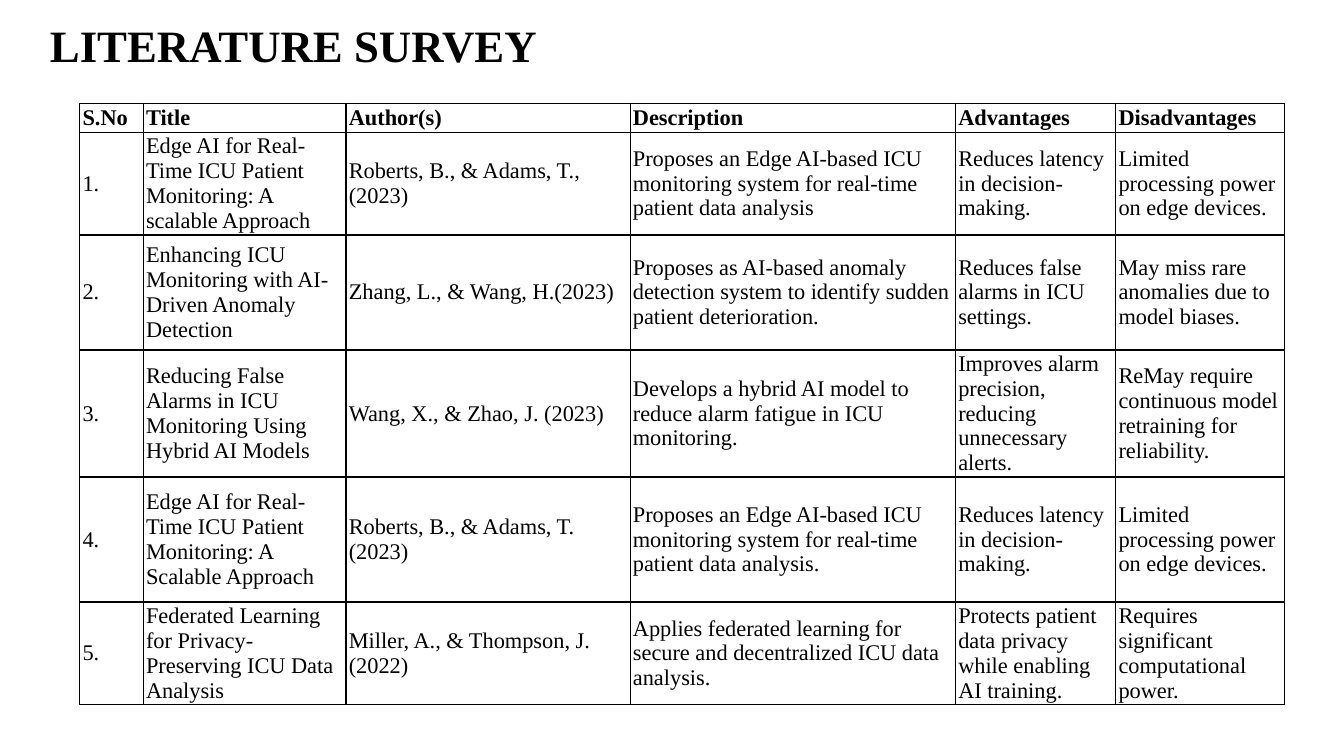
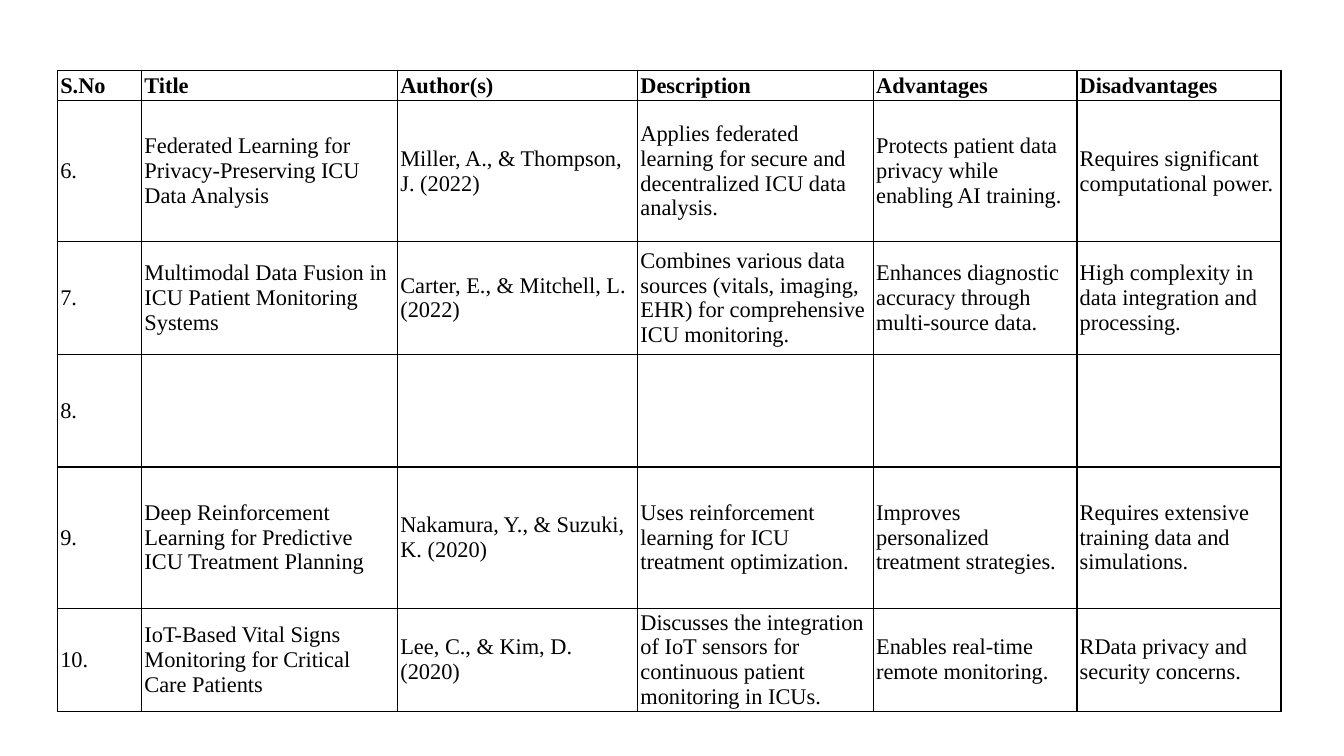
from copy import deepcopy

from lxml import etree
from pptx import Presentation
from pptx.dml.color import RGBColor
from pptx.enum.text import MSO_ANCHOR, PP_ALIGN
from pptx.oxml.ns import qn
from pptx.util import Cm, Pt

MIDDLE = MSO_ANCHOR.MIDDLE
LEFT = PP_ALIGN.LEFT
BLANK_LAYOUT = 6
FONT = "Times New Roman"
COLORS = {"ink": "000000", "paper": "FFFFFF"}
BORDER_WIDTH = Pt(1)
CELL_INSET_X = Cm(0.07)
CELL_INSET_Y = Cm(0.02)
CELL_LINE_SPACING = Pt(17.7)

HEADINGS = ("S.No", "Title", "Author(s)", "Description", "Advantages", "Disadvantages")

SURVEY_FIRST = [
    ("1.", "Edge AI for Real-Time ICU Patient Monitoring: A scalable Approach",
     "Roberts, B., & Adams, T., (2023)",
     "Proposes an Edge AI-based ICU monitoring system for real-time patient data analysis",
     "Reduces latency in decision-making.",
     "Limited processing power on edge devices."),
    ("2.", "Enhancing ICU Monitoring with AI-Driven Anomaly Detection",
     "Zhang, L., & Wang, H.(2023)",
     "Proposes as AI-based anomaly detection system to identify sudden patient deterioration.",
     "Reduces false alarms in ICU settings.",
     "May miss rare anomalies due to model biases."),
    ("3.", "Reducing False Alarms in ICU Monitoring Using Hybrid AI Models",
     "Wang, X., & Zhao, J. (2023)",
     "Develops a hybrid AI model to reduce alarm fatigue in ICU monitoring.",
     "Improves alarm precision, reducing unnecessary alerts.",
     "ReMay require continuous model retraining for reliability."),
    ("4.", "Edge AI for Real-Time ICU Patient Monitoring: A Scalable Approach",
     "Roberts, B., & Adams, T. (2023)",
     "Proposes an Edge AI-based ICU monitoring system for real-time patient data analysis.",
     "Reduces latency in decision-making.",
     "Limited processing power on edge devices."),
    ("5.", "Federated Learning for Privacy-Preserving ICU Data Analysis",
     "Miller, A., & Thompson, J. (2022)",
     "Applies federated learning for secure and decentralized ICU data analysis.",
     "Protects patient data privacy while enabling AI training.",
     "Requires significant computational power."),
]

SURVEY_SECOND = [
    ("6.",) + SURVEY_FIRST[-1][1:],
    ("7.", "Multimodal Data Fusion in ICU Patient Monitoring Systems",
     "Carter, E., & Mitchell, L. (2022)",
     "Combines various data sources (vitals, imaging, EHR) for comprehensive ICU monitoring.",
     "Enhances diagnostic accuracy through multi-source data.",
     "High complexity in data integration and processing."),
    ("8.", "", "", "", "", ""),
    ("9.", "Deep Reinforcement Learning for Predictive ICU Treatment Planning",
     "Nakamura, Y., & Suzuki, K. (2020)",
     "Uses reinforcement learning for ICU treatment optimization.",
     "Improves personalized treatment strategies.",
     "Requires extensive training data and simulations."),
    ("10.", "IoT-Based Vital Signs Monitoring for Critical Care Patients",
     "Lee, C., & Kim, D. (2020)",
     "Discusses the integration of IoT sensors for continuous patient monitoring in ICUs.",
     "Enables real-time remote monitoring.",
     "RData privacy and security concerns."),
]


def write_text(frame, text, size=16, bold=False, color="ink", line_spacing=CELL_LINE_SPACING):
    paragraph = frame.paragraphs[0]
    paragraph.alignment = LEFT
    paragraph.line_spacing = line_spacing
    if not text:
        return
    run = paragraph.add_run()
    run.text = text
    run.font.name = FONT
    run.font.size = Pt(size)
    run.font.bold = bold
    run.font.color.rgb = RGBColor.from_string(COLORS[color])
    ending = etree.SubElement(paragraph._p, qn("a:endParaRPr"), sz=str(size * 100))
    for part in run.font._element:
        ending.append(deepcopy(part))


def add_borders(cell):
    properties = cell._tc.get_or_add_tcPr()
    for position, side in enumerate(("a:lnL", "a:lnR", "a:lnT", "a:lnB")):
        line = etree.Element(qn(side), w=str(BORDER_WIDTH))
        fill = etree.SubElement(line, qn("a:solidFill"))
        etree.SubElement(fill, qn("a:srgbClr"), val=COLORS["ink"])
        properties.insert(position, line)


def fill_cell(cell, text, bold):
    cell.vertical_anchor = MIDDLE
    cell.margin_left = cell.margin_right = CELL_INSET_X
    cell.margin_top = cell.margin_bottom = CELL_INSET_Y
    cell.fill.solid()
    cell.fill.fore_color.rgb = RGBColor.from_string(COLORS["paper"])
    add_borders(cell)
    write_text(cell.text_frame, text, bold=bold)


def add_title(slide, text, left, top, width, height):
    title = slide.shapes.add_textbox(Cm(left), Cm(top), Cm(width), Cm(height))
    title.text_frame.word_wrap = False
    title.text_frame.vertical_anchor = MIDDLE
    write_text(title.text_frame, text, size=32, bold=True, line_spacing=0.9)


def add_survey(slide, entries, left, top, widths, heights):
    rows = [HEADINGS, *entries]
    survey = slide.shapes.add_table(
        len(rows), len(HEADINGS), Cm(left), Cm(top), Cm(sum(widths)), Cm(sum(heights))
    ).table
    survey.first_row = False
    survey.horz_banding = False
    for column, width in zip(survey.columns, widths):
        column.width = Cm(width)
    for row_index, (row, height, texts) in enumerate(zip(survey.rows, heights, rows)):
        row.height = Cm(height)
        for cell, text in zip(row.cells, texts):
            fill_cell(cell, text, bold=row_index == 0)


def main():
    deck = Presentation()
    deck.slide_width = Cm(33.87)
    deck.slide_height = Cm(19.05)
    blank = deck.slide_layouts[BLANK_LAYOUT]

    opening = deck.slides.add_slide(blank)
    add_title(opening, "LITERATURE SURVEY", 1.01, 0.32, 12.85, 1.78)
    add_survey(opening, SURVEY_FIRST, 2.01, 2.61,
               widths=(1.6, 5.11, 7.16, 8.2, 4.04, 4.26),
               heights=(0.72, 2.59, 2.9, 3.2, 3.15, 2.59))

    continuation = deck.slides.add_slide(blank)
    add_survey(continuation, SURVEY_SECOND, 1.45, 1.78,
               widths=(2.12, 6.45, 6.05, 5.94, 5.13, 5.14),
               heights=(0.76, 3.55, 2.84, 2.84, 3.56, 2.59))

    deck.save("out.pptx")


if __name__ == "__main__":
    main()
